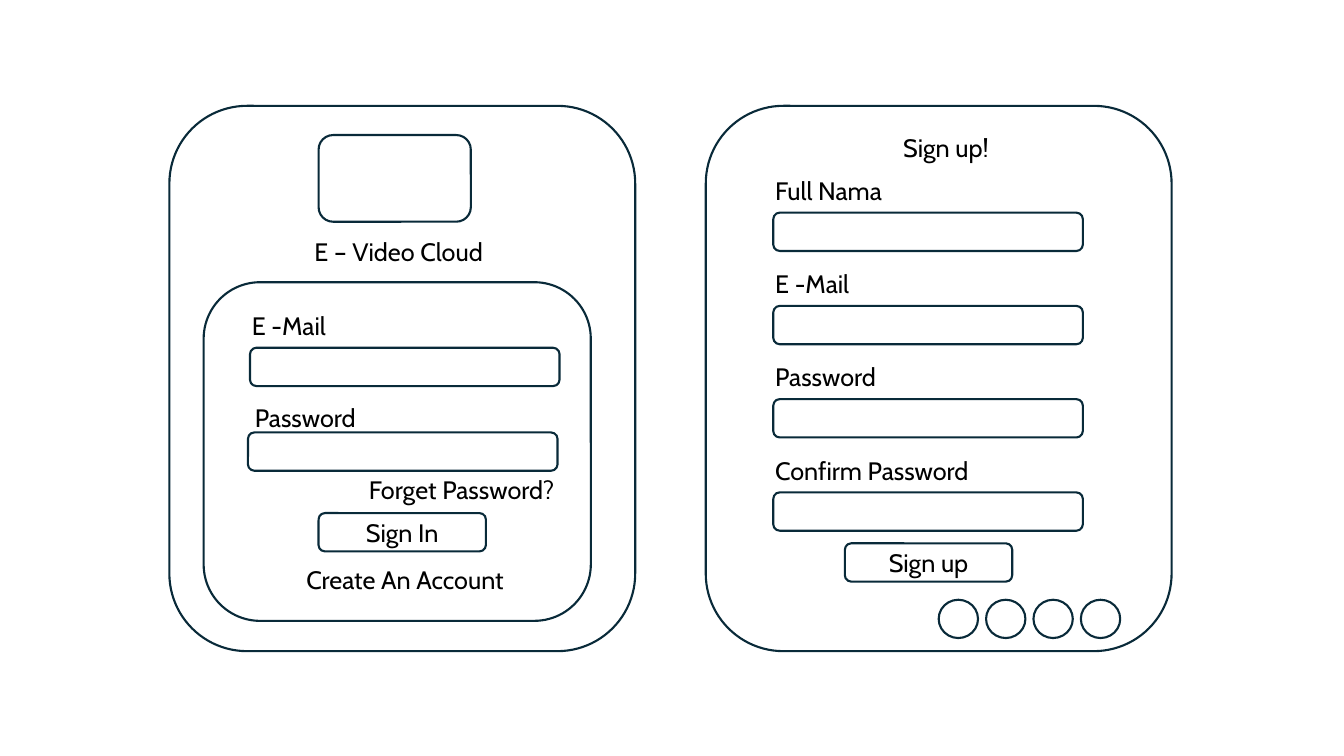
from dataclasses import dataclass

from pptx import Presentation
from pptx.dml.color import RGBColor
from pptx.enum.shapes import MSO_SHAPE as Preset
from pptx.enum.text import MSO_ANCHOR as Anchor, MSO_AUTO_SIZE as AutoSize, PP_ALIGN as Align
from pptx.util import Inches, Pt


@dataclass(frozen=True)
class Theme:
    outline: RGBColor = RGBColor.from_string("092A39")
    ink: RGBColor = RGBColor.from_string("000000")
    font: str = "Cabin"
    text_size: Pt = Pt(18)
    line_width: Pt = Pt(1.5)


THEME = Theme()
SLIDE_SIZE = (13.33, 7.5)

# Panels: everything inside a panel is placed from the panel's top left corner.
PANEL_TOP, PANEL_SIZE = 1.05, (4.62, 5.41)
SIGN_IN_LEFT, SIGN_UP_LEFT = 1.68, 7.0
FIELD_SIZE, BUTTON_SIZE, DOT_SIZE = (3.07, 0.38), (1.66, 0.38), (0.39, 0.38)
LABEL_HEIGHT = 0.4
TITLE_WIDTH = 2.15

# Sign in: (text, left, top, width)
SIGN_IN_TITLE = ("E – Video Cloud", 1.34, 1.25, TITLE_WIDTH)
SIGN_IN_LABELS = [
    ("E -Mail", 0.72, 1.98, 0.94),
    ("Password", 0.75, 2.89, 1.26),
    ("Forget Password?", 1.88, 3.61, 2.12),
    ("Create An Account", 1.26, 4.5, 2.24),
]
SIGN_IN_FIELDS = [(0.8, 2.4), (0.78, 3.24)]
SIGN_IN_BUTTON = ("Sign In", 1.48, 4.04)
EMBLEM = (1.48, 0.29, 1.51, 0.86)
CARD = (0.34, 1.75, 3.84, 3.36)

# Sign up: (label, label width), one per row
SIGN_UP_TITLE = ("Sign up!", 1.86, 0.21, TITLE_WIDTH)
SIGN_UP_ROWS = [
    ("Full Nama", 1.32),
    ("E -Mail", 0.94),
    ("Password", 1.26),
    ("Confirm Password", 2.2),
]
SIGN_UP_BUTTON = ("Sign up", 1.38, 4.34)
FIRST_FIELD, ROW_PITCH = (0.67, 1.06), 0.925
LABEL_SHIFT = (-0.08, -0.42)
DOT_COUNT, FIRST_DOT, DOT_PITCH = 4, (2.31, 4.9), 0.47

deck = Presentation()
deck.slide_width, deck.slide_height = map(Inches, SLIDE_SIZE)
slide = deck.slides.add_slide(deck.slide_layouts[6])


class Panel:
    def __init__(self, left):
        self.left = left
        self.outline(0, 0, *PANEL_SIZE)

    def place(self, left, top, width, height):
        return map(Inches, (self.left + left, PANEL_TOP + top, width, height))

    def outline(self, left, top, width, height, preset=Preset.ROUNDED_RECTANGLE):
        shape = slide.shapes.add_shape(preset, *self.place(left, top, width, height))
        shape.shadow.inherit = False
        shape.fill.background()
        shape.line.color.rgb = THEME.outline
        shape.line.width = THEME.line_width
        return shape

    def label(self, text, left, top, width, wrap=False):
        box = slide.shapes.add_textbox(*self.place(left, top, width, LABEL_HEIGHT))
        write(box.text_frame, text, word_wrap=wrap, auto_size=AutoSize.SHAPE_TO_FIT_TEXT)

    def button(self, text, left, top):
        frame = self.outline(left, top, *BUTTON_SIZE).text_frame
        write(frame, text, vertical_anchor=Anchor.MIDDLE)
        frame.paragraphs[0].alignment = Align.CENTER


def write(frame, text, **frame_format):
    for name, value in frame_format.items():
        setattr(frame, name, value)
    run = frame.paragraphs[0].add_run()
    run.text = text
    for name, value in {"name": THEME.font, "size": THEME.text_size}.items():
        setattr(run.font, name, value)
    run.font.color.rgb = THEME.ink


def draw_sign_in():
    panel = Panel(SIGN_IN_LEFT)
    panel.outline(*EMBLEM)
    panel.label(*SIGN_IN_TITLE, wrap=True)
    panel.outline(*CARD)
    for corner in SIGN_IN_FIELDS:
        panel.outline(*corner, *FIELD_SIZE)
    for label in SIGN_IN_LABELS:
        panel.label(*label)
    panel.button(*SIGN_IN_BUTTON)


def draw_sign_up():
    panel = Panel(SIGN_UP_LEFT)
    panel.label(*SIGN_UP_TITLE, wrap=True)
    left, first_top = FIRST_FIELD
    for row, (text, width) in enumerate(SIGN_UP_ROWS):
        top = first_top + row * ROW_PITCH
        panel.outline(left, top, *FIELD_SIZE)
        panel.label(text, left + LABEL_SHIFT[0], top + LABEL_SHIFT[1], width)
    panel.button(*SIGN_UP_BUTTON)
    dot_left, dot_top = FIRST_DOT
    for dot in range(DOT_COUNT):
        panel.outline(dot_left + dot * DOT_PITCH, dot_top, *DOT_SIZE, Preset.OVAL)


if __name__ == "__main__":
    draw_sign_in()
    draw_sign_up()
    deck.save("out.pptx")
